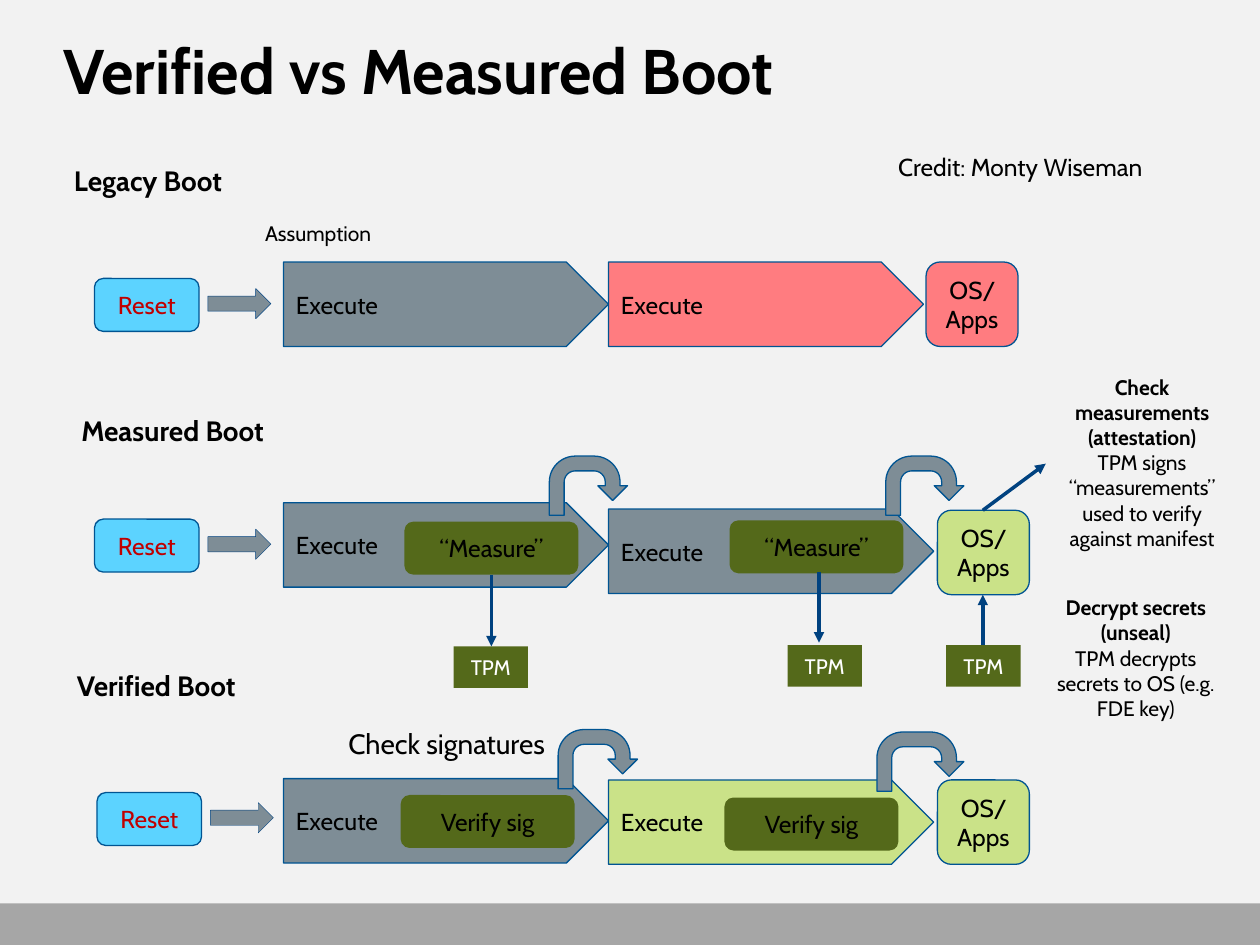
from lxml import etree
from pptx import Presentation
from pptx.dml.color import RGBColor
from pptx.enum.shapes import MSO_CONNECTOR, MSO_SHAPE
from pptx.enum.text import MSO_ANCHOR, MSO_AUTO_SIZE, PP_ALIGN
from pptx.oxml.ns import qn
from pptx.util import Inches, Pt

FONT = "Cabin"
COLORS = {
    "background": "F2F2F2", "footer": "A6A6A6", "black": "000000",
    "white": "FFFFFF", "red": "C00000", "blue": "5CD3FF", "gray": "7E8D96",
    "pink": "FF7C80", "lime": "CAE288", "olive": "54691A",
    "outline": "005492", "navy": "004280",
}
TITLE = "Verified vs Measured Boot"

# Each flow: reset (left, top), plates (left, top, width, fill),
# OS box (left, top, fill), and checks (left, top, label)
FLOWS = [
    {"reset": (0.75, 2.21),
     "plates": [(2.25, 2.08, 2.58, "gray"), (4.83, 2.08, 2.5, "pink")],
     "os": (7.35, 2.08, "pink"),
     "checks": []},
    {"reset": (0.75, 4.12),
     "plates": [(2.25, 3.99, 2.58, "gray"), (4.83, 4.04, 2.58, "gray")],
     "os": (7.44, 4.05, "lime"),
     "checks": [(3.21, 4.14, "“Measure”"), (5.79, 4.13, "“Measure”")]},
    {"reset": (0.77, 6.29),
     "plates": [(2.25, 6.18, 2.58, "gray"), (4.83, 6.19, 2.58, "lime")],
     "os": (7.44, 6.19, "lime"),
     "checks": [(3.18, 6.31, "Verify sig"), (5.75, 6.33, "Verify sig")]},
]
HANDOFFS = [(4.36, 3.62, 0.62), (7.03, 3.62, 0.62),
            (4.43, 5.79, 0.63), (6.96, 5.81, 0.69)]
TPMS = [(3.6, 5.13), (6.25, 5.12), (7.51, 5.12)]
ARROWS = [(3.9, 4.56, 3.9, 5.13), (6.5, 4.54, 6.5, 5.1),
          (7.8, 5.12, 7.8, 4.72), (7.8, 4.05, 8.3, 3.68)]

# box, size, alignment, paragraphs of (text, bold)
LABELS = [
    ((7.03, 1.16, 2.3, 0.34), 14, PP_ALIGN.LEFT, [("Credit: Monty Wiseman", False)]),
    ((0.1, 1.25, 2.15, 0.37), 16, PP_ALIGN.CENTER, [("Legacy Boot", True)]),
    ((0.5, 3.23, 1.74, 0.37), 16, PP_ALIGN.CENTER, [("Measured Boot", True)]),
    ((0.33, 5.26, 1.82, 0.37), 16, PP_ALIGN.CENTER, [("Verified Boot", True)]),
    ((1.45, 1.7, 2.15, 0.3), 12, PP_ALIGN.CENTER, [("Assumption", False)]),
    ((2.47, 5.72, 2.15, 0.37), 16, PP_ALIGN.CENTER, [("Check signatures", False)]),
    ((8.3, 2.92, 1.53, 1.51), 12, PP_ALIGN.CENTER,
     [("Check measurements (attestation)", True),
      ("TPM signs “measurements” used to verify against manifest", False)]),
    ((8.25, 4.67, 1.53, 1.11), 12, PP_ALIGN.CENTER,
     [("Decrypt secrets (unseal)", True),
      ("TPM decrypts secrets to OS (e.g. FDE key)", False)]),
]


def rgb(name):
    return RGBColor.from_string(COLORS[name])


def write(tf, paragraphs, size, color="black", align=PP_ALIGN.CENTER):
    tf.word_wrap = True
    for i, (text, bold) in enumerate(paragraphs):
        p = tf.add_paragraph() if i else tf.paragraphs[0]
        p.alignment = align
        r = p.add_run()
        r.text = text
        r.font.name = FONT
        r.font.size = Pt(size)
        r.font.bold = bold
        r.font.color.rgb = rgb(color)


def add_block(kind, box, fill, line=None, weight=0.75, text="", size=14,
              color="black", align=PP_ALIGN.CENTER):
    sp = slide.shapes.add_shape(kind, *map(Inches, box))
    sp.shadow.inherit = False
    sp.fill.solid()
    sp.fill.fore_color.rgb = rgb(fill)
    if line:
        sp.line.color.rgb = rgb(line)
        sp.line.width = Pt(weight)
    else:
        sp.line.fill.background()
    if text:
        sp.text_frame.vertical_anchor = MSO_ANCHOR.MIDDLE
        write(sp.text_frame, [(text, False)], size, color, align)


def add_arrow(ends):
    cxn = slide.shapes.add_connector(MSO_CONNECTOR.STRAIGHT, *map(Inches, ends))
    cxn.line.color.rgb = rgb("navy")
    cxn.line.width = Pt(2)
    etree.SubElement(cxn.line._get_or_add_ln(), qn("a:tailEnd"), type="triangle")
    etree.SubElement(cxn._element.spPr, qn("a:effectLst"))


prs = Presentation()
prs.slide_width, prs.slide_height = Inches(10), Inches(7.5)
slide = prs.slides.add_slide(prs.slide_layouts[5])
slide.background.fill.solid()
slide.background.fill.fore_color.rgb = rgb("background")

title = slide.shapes.title
title.left, title.top, title.width, title.height = map(Inches, (0.5, 0.25, 9, 1.08))
tf = title.text_frame
tf.margin_left = tf.margin_top = tf.margin_right = tf.margin_bottom = 0
tf.vertical_anchor = MSO_ANCHOR.TOP
tf.auto_size = MSO_AUTO_SIZE.NONE
write(tf, [(TITLE, True)], 36, align=PP_ALIGN.LEFT)

add_block(MSO_SHAPE.RECTANGLE, (0, 7.17, 10, 0.33), "footer")

for flow in FLOWS:
    x, y = flow["reset"]
    add_block(MSO_SHAPE.ROUNDED_RECTANGLE, (x, y, 0.83, 0.42), "blue", "outline",
              text="Reset", color="red")
    add_block(MSO_SHAPE.RIGHT_ARROW, (x + 0.9, y + 0.08, 0.5, 0.24), "gray",
              "navy", 0.25)
    for x, y, w, fill in flow["plates"]:
        add_block(MSO_SHAPE.PENTAGON, (x, y, w, 0.67), fill, "outline",
                  text="Execute", align=PP_ALIGN.LEFT)
    x, y, fill = flow["os"]
    add_block(MSO_SHAPE.ROUNDED_RECTANGLE, (x, y, 0.73, 0.67), fill, "outline",
              text="OS/Apps")
    for x, y, label in flow["checks"]:
        add_block(MSO_SHAPE.ROUNDED_RECTANGLE, (x, y, 1.38, 0.42), "olive", text=label)

for x, y, w in HANDOFFS:
    add_block(MSO_SHAPE.U_TURN_ARROW, (x, y, w, 0.47), "gray", "outline")
for x, y in TPMS:
    add_block(MSO_SHAPE.RECTANGLE, (x, y, 0.59, 0.33), "olive",
              text="TPM", size=12, color="white")
for ends in ARROWS:
    add_arrow(ends)
for box, size, align, paragraphs in LABELS:
    tb = slide.shapes.add_textbox(*map(Inches, box))
    write(tb.text_frame, paragraphs, size, align=align)

prs.save("out.pptx")
